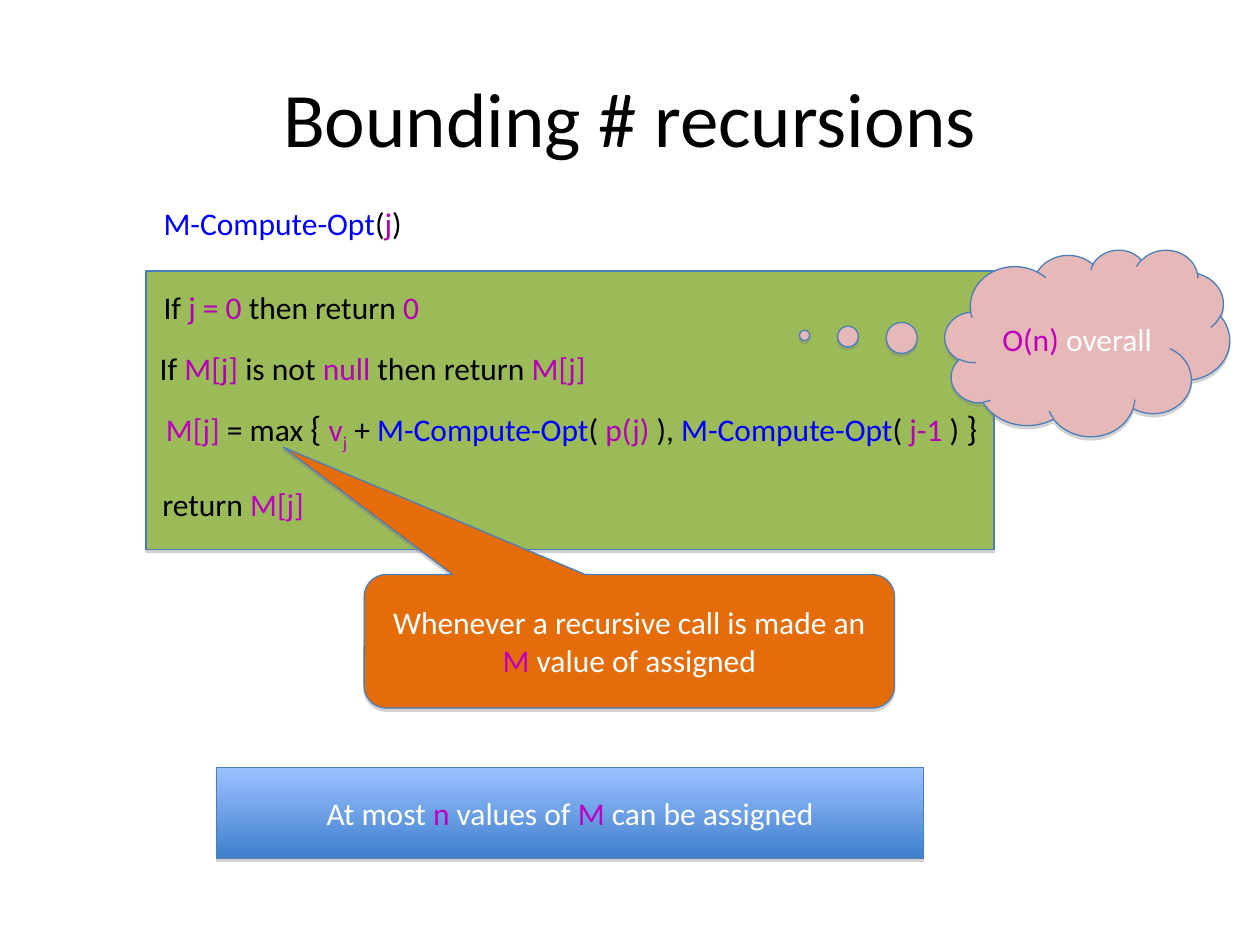
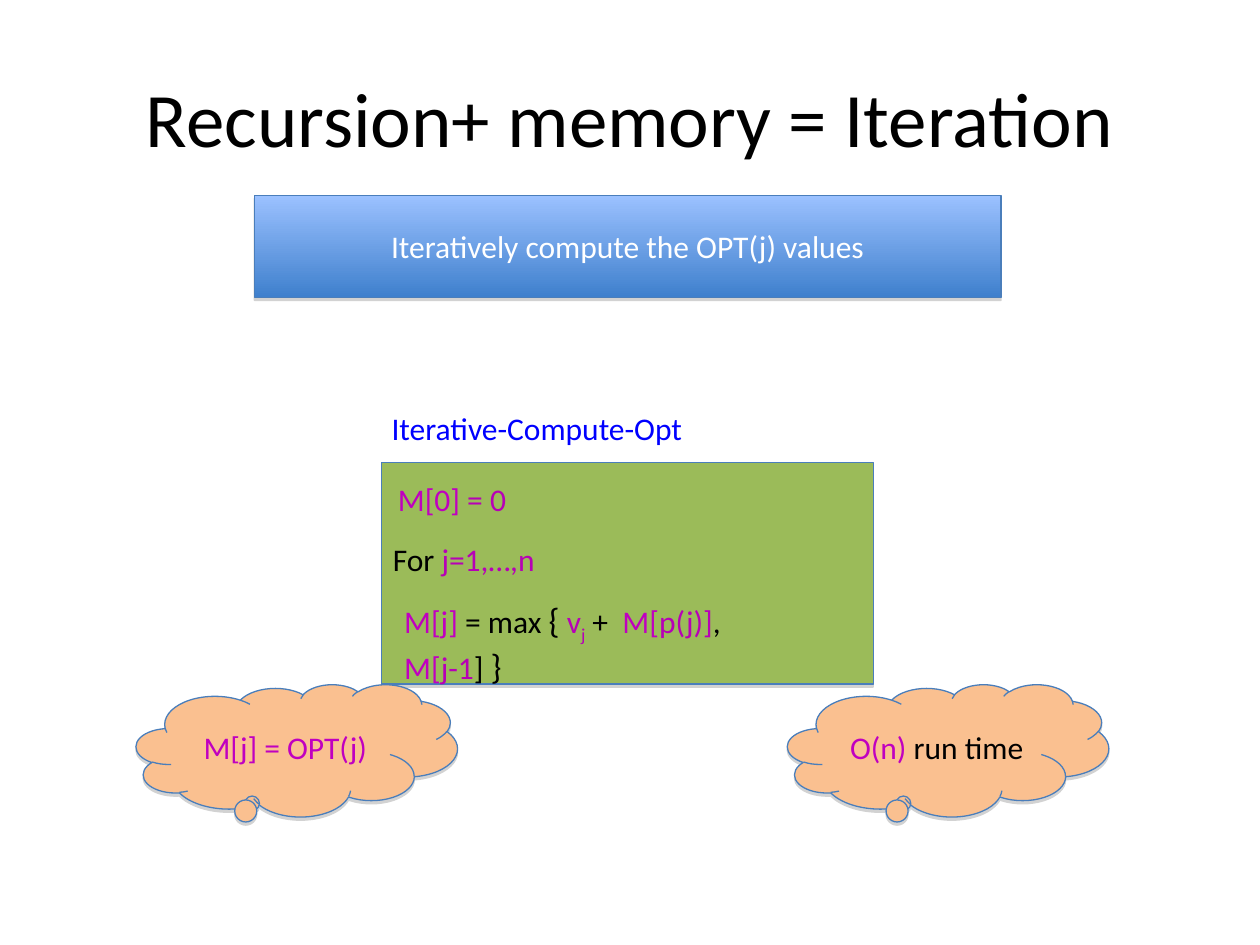
from lxml import etree
from pptx import Presentation
from pptx.dml.color import RGBColor
from pptx.enum.shapes import MSO_SHAPE
from pptx.enum.text import MSO_ANCHOR, PP_ALIGN
from pptx.oxml.ns import qn
from pptx.util import Pt

# Shared look
FONT = "Calibri"
OUTLINE = "4A7EBB"
CODE_FILL = "9BBB59"
BANNER_STOPS = ("9BC1FF", "3F80CD")
CLOUD_TAIL = (-0.134, 0.386)
INSETS = dict(margin_left=Pt(7.2), margin_right=Pt(7.2),
              margin_top=Pt(3.6), margin_bottom=Pt(3.6))

# Run styles: colour, size, baseline shift in 1/1000 percent
STYLES = {
    "title": ("000000", 44, 0),
    "plain": ("000000", 18, 0),
    "brace": ("000000", 20, 0),
    "light": ("FFFFFF", 18, 0),
    "call": ("0000FF", 18, 0),
    "var": ("B700B7", 18, 0),
    "memo": ("C000C0", 18, 0),
    "sub": ("B700B7", 18, -25000),
}

# Start of the recurrence, used in both algorithms
MAX_START = [("M[j] ", "memo"), ("= max ", "plain"), ("{", "brace"),
             (" ", "plain"), ("v", "var"), ("j", "sub")]


def rgb(value):
    return RGBColor.from_string(value)


def set_all(target, values):
    for name, value in values.items():
        setattr(target, name, value)


def write(tf, runs, align=PP_ALIGN.LEFT, anchor=MSO_ANCHOR.TOP):
    """Fill a text frame with (text, style) runs; "\\n" breaks the line."""
    set_all(tf, dict(INSETS, word_wrap=True, vertical_anchor=anchor))
    p = tf.paragraphs[0]
    p.alignment = align
    for text, style in runs:
        if text == "\n":
            p.add_line_break()
            continue
        color, size, baseline = STYLES[style]
        r = p.add_run()
        r.text = text
        set_all(r.font, {"name": FONT, "size": Pt(size)})
        r.font.color.rgb = rgb(color)
        if baseline:
            r.font._element.set("baseline", str(baseline))


def add_slide(prs, title):
    s = prs.slides.add_slide(prs.slide_layouts[5])
    set_all(s.shapes.title, dict(left=Pt(36), top=Pt(21.6),
                                 width=Pt(648), height=Pt(90)))
    write(s.shapes.title.text_frame, [(title, "title")],
          PP_ALIGN.CENTER, MSO_ANCHOR.MIDDLE)
    return s


def add_text(s, left, top, width, runs, height=28.8):
    sp = s.shapes.add_textbox(Pt(left), Pt(top), Pt(width), Pt(height))
    write(sp.text_frame, runs)


def add_shadow(sp):
    sp.shadow.inherit = False
    effects = sp._element.spPr.find(qn("a:effectLst"))
    shadow = etree.SubElement(effects, qn("a:outerShdw"), blurRad="0",
                              dist=str(Pt(1.8)), dir="5400000", rotWithShape="0")
    color = etree.SubElement(shadow, qn("a:srgbClr"), val="808080")
    etree.SubElement(color, qn("a:alpha"), val="35000")


def add_box(s, kind, box, fill, runs=(), tail=()):
    """Outlined, shadowed shape; fill is one colour or a pair of gradient stops."""
    sp = s.shapes.add_shape(kind, *map(Pt, box))
    for i, value in enumerate(tail):
        sp.adjustments[i] = value
    if isinstance(fill, str):
        sp.fill.solid()
        sp.fill.fore_color.rgb = rgb(fill)
    else:
        sp.fill.gradient()
        sp.fill.gradient_angle = 270
        for stop, color in zip(sp.fill.gradient_stops, fill):
            stop.color.rgb = rgb(color)
    sp.line.color.rgb = rgb(OUTLINE)
    sp.line.width = Pt(0.75)
    add_shadow(sp)
    if runs:
        write(sp.text_frame, runs, PP_ALIGN.CENTER, MSO_ANCHOR.MIDDLE)


def add_banner(s, box, runs):
    add_box(s, MSO_SHAPE.RECTANGLE, box, BANNER_STOPS, runs)


def add_code(s, box, lines):
    """Code panel with lines given as (left, top, width, runs)."""
    add_box(s, MSO_SHAPE.RECTANGLE, box, CODE_FILL)
    for line in lines:
        add_text(s, *line)


def build_bounding(prs):
    s = add_slide(prs, "Bounding # recursions")
    add_text(s, 86.4, 113, 155, [("M-Compute-Opt", "call"), ("(", "plain"),
                                 ("j", "var"), (")", "plain")])
    # Memoised recursion
    add_code(s, (83.5, 154.8, 484.6, 159.1), [
        (86.4, 161.3, 165, [("If ", "plain"), ("j = 0 ", "var"),
                            ("then return ", "plain"), ("0", "var")]),
        (84.2, 195.8, 262, [("If ", "plain"), ("M[j] ", "var"),
                            ("is not ", "plain"), ("null ", "var"),
                            ("then return ", "plain"), ("M[j]", "var")]),
        (87.8, 229, 484, MAX_START + [
            (" + ", "plain"), ("M-Compute-Opt", "call"), ("( ", "plain"),
            ("p(j)", "var"), (" ), ", "plain"), ("M-Compute-Opt", "call"),
            ("( ", "plain"), ("j-1", "var"), (" ) ", "plain"), ("}", "brace")], 33.8),
        (85.7, 273.6, 100, [("return ", "plain"), ("M[j]", "memo")]),
    ])
    # Remarks on the cost
    add_box(s, MSO_SHAPE.ROUNDED_RECTANGULAR_CALLOUT, (208.1, 328.3, 303.1, 76.3),
            "E46C0A", [("Whenever a recursive call is made an ", "light"),
                       ("M", "memo"), (" value of assigned", "light")],
            (-0.653, -1.454, 0.167))
    add_banner(s, (123.8, 438.5, 403.9, 51.8), [
        ("At most ", "light"), ("n", "memo"), (" values of ", "light"),
        ("M", "memo"), (" can be assigned", "light")])
    add_box(s, MSO_SHAPE.CLOUD_CALLOUT, (540, 142.6, 162.7, 106.6), "E6B9B8",
            [("O(n) ", "memo"), ("overall", "light")], (-0.993, -0.04))


def build_iteration(prs):
    s = add_slide(prs, "Recursion+ memory = Iteration")
    add_banner(s, (145.4, 111.6, 426.6, 58.3),
               [("Iteratively compute the OPT(j) values", "light")])
    # Iterative algorithm
    add_code(s, (218.2, 264.2, 280.8, 126.7), [
        (220.3, 270.7, 80, [("M[0] ", "memo"), ("= 0", "var")]),
        (223.9, 338.4, 255, MAX_START + [
            (" +  ", "plain"), ("M[", "memo"), ("p(j)]", "var"), (",", "plain"),
            ("\n", "plain"), ("M[", "memo"), ("j-1", "var"), ("] ", "plain"),
            ("}", "brace")], 60),
        (217.4, 305.3, 100, [("For ", "plain"), ("j=1,…,n", "var")]),
    ])
    add_text(s, 216.7, 230.4, 185, [("Iterative-Compute-Opt", "call")])
    # Conclusions
    for left, runs in ((77.8, [("M[j] = OPT(j)", "memo")]),
                       (450, [("O(n) ", "memo"), ("run time", "plain")])):
        add_box(s, MSO_SHAPE.CLOUD_CALLOUT, (left, 391, 183.6, 75.6),
                "FAC090", runs, CLOUD_TAIL)


def main():
    prs = Presentation()
    prs.slide_width, prs.slide_height = Pt(720), Pt(540)
    build_bounding(prs)
    build_iteration(prs)
    prs.save("out.pptx")


if __name__ == "__main__":
    main()
